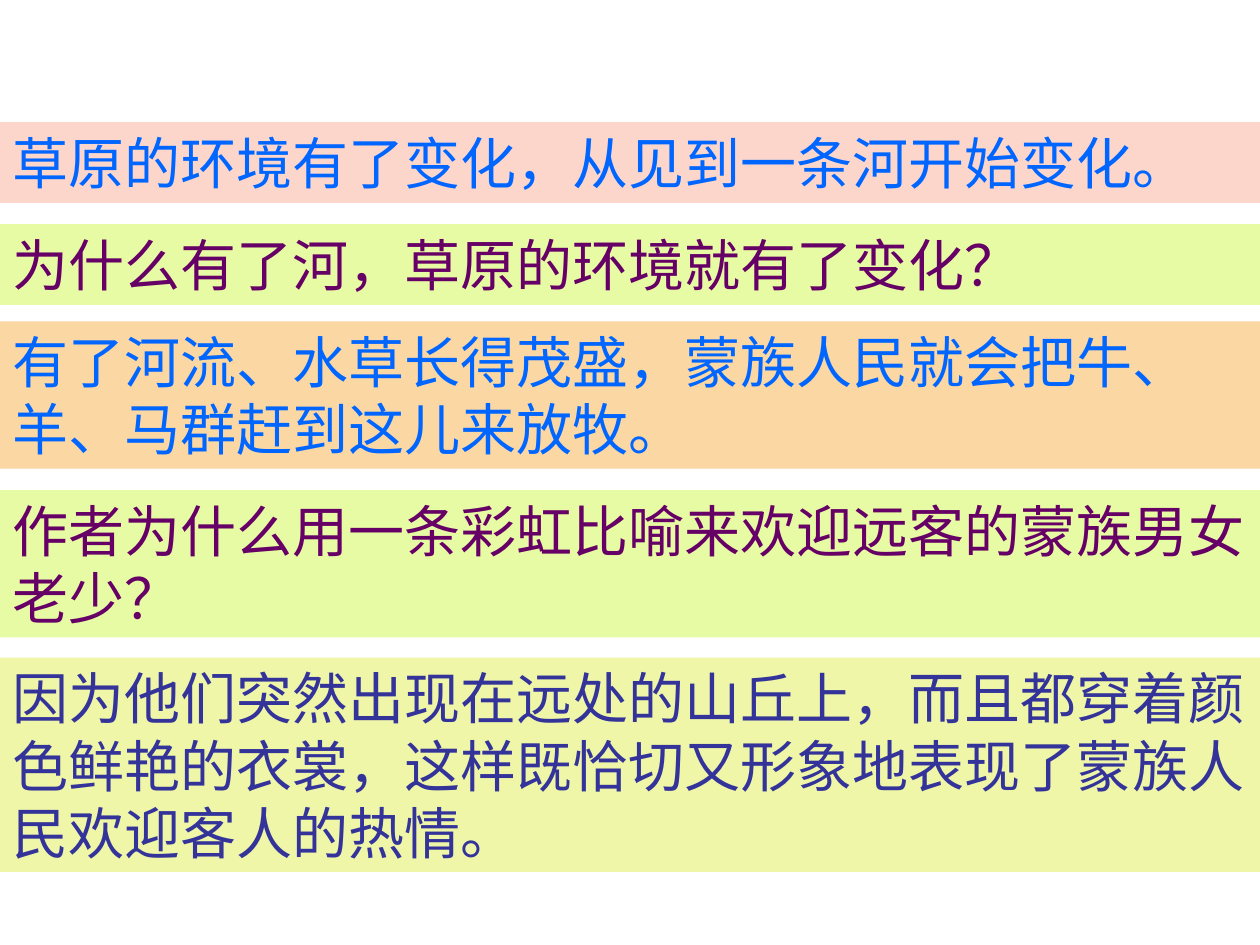
import pptx
import pptx.dml.color
import pptx.enum.text
import pptx.oxml
import pptx.oxml.ns
import pptx.util
from pptx.dml.color import RGBColor
from pptx.util import Inches

FONT = "Noto Sans CJK SC"
PINK = RGBColor(0xFD, 0xD6, 0xCB)
LIME = RGBColor(0xE6, 0xFB, 0xA3)
ORANGE = RGBColor(0xFB, 0xD7, 0xA3)
YELLOW = RGBColor(0xEF, 0xF6, 0xA8)
BLUE = RGBColor(0x00, 0x66, 0xFF)
PURPLE = RGBColor(0x66, 0x00, 0x66)
INDIGO = RGBColor(0x33, 0x33, 0x99)

SLIDE_WIDTH = 10
LINE_HEIGHT = 0.53
VERTICAL_PADDING = 0.11

# Top, number of text lines, fill, text colour, text
BANDS = [
    (0.97, 1, PINK, BLUE, "草原的环境有了变化，从见到一条河开始变化。"),
    (1.78, 1, LIME, PURPLE, "为什么有了河，草原的环境就有了变化？"),
    (2.55, 2, ORANGE, BLUE,
     "有了河流、水草长得茂盛，蒙族人民就会把牛、羊、马群赶到这儿来放牧。"),
    (3.89, 2, LIME, PURPLE, "作者为什么用一条彩虹比喻来欢迎远客的蒙族男女老少？"),
    (5.22, 3, YELLOW, INDIGO,
     "因为他们突然出现在远处的山丘上，而且都穿着颜色鲜艳的衣裳，"
     "这样既恰切又形象地表现了蒙族人民欢迎客人的热情。"),
]


def format_paragraph(paragraph, color):
    # Keep punctuation inside the right margin
    paragraph._p.get_or_add_pPr().set("hangingPunct", "0")
    run = paragraph.runs[0]
    run.font.size = pptx.util.Pt(32)
    run.font.name = FONT
    run.font.color.rgb = color
    # Chinese characters take the East Asian typeface
    east_asian = pptx.oxml.parse_xml(
        f'<a:ea {pptx.oxml.ns.nsdecls("a")} typeface="{FONT}"/>')
    run.font._element.append(east_asian)


def add_band(slide, top, line_count, fill, color, text):
    height = VERTICAL_PADDING + line_count * LINE_HEIGHT
    band = slide.shapes.add_textbox(
        0, Inches(top), Inches(SLIDE_WIDTH), Inches(height))
    band.fill.solid()
    band.fill.fore_color.rgb = fill
    text_frame = band.text_frame
    text_frame.word_wrap = True
    text_frame.auto_size = pptx.enum.text.MSO_AUTO_SIZE.SHAPE_TO_FIT_TEXT
    text_frame.text = text
    format_paragraph(text_frame.paragraphs[0], color)


def main():
    presentation = pptx.Presentation()
    presentation.slide_width = Inches(SLIDE_WIDTH)
    presentation.slide_height = Inches(7.5)
    slide = presentation.slides.add_slide(presentation.slide_layouts[6])

    # Questions and answers, one band each
    for band in BANDS:
        add_band(slide, *band)

    presentation.save("out.pptx")


if __name__ == "__main__":
    main()
